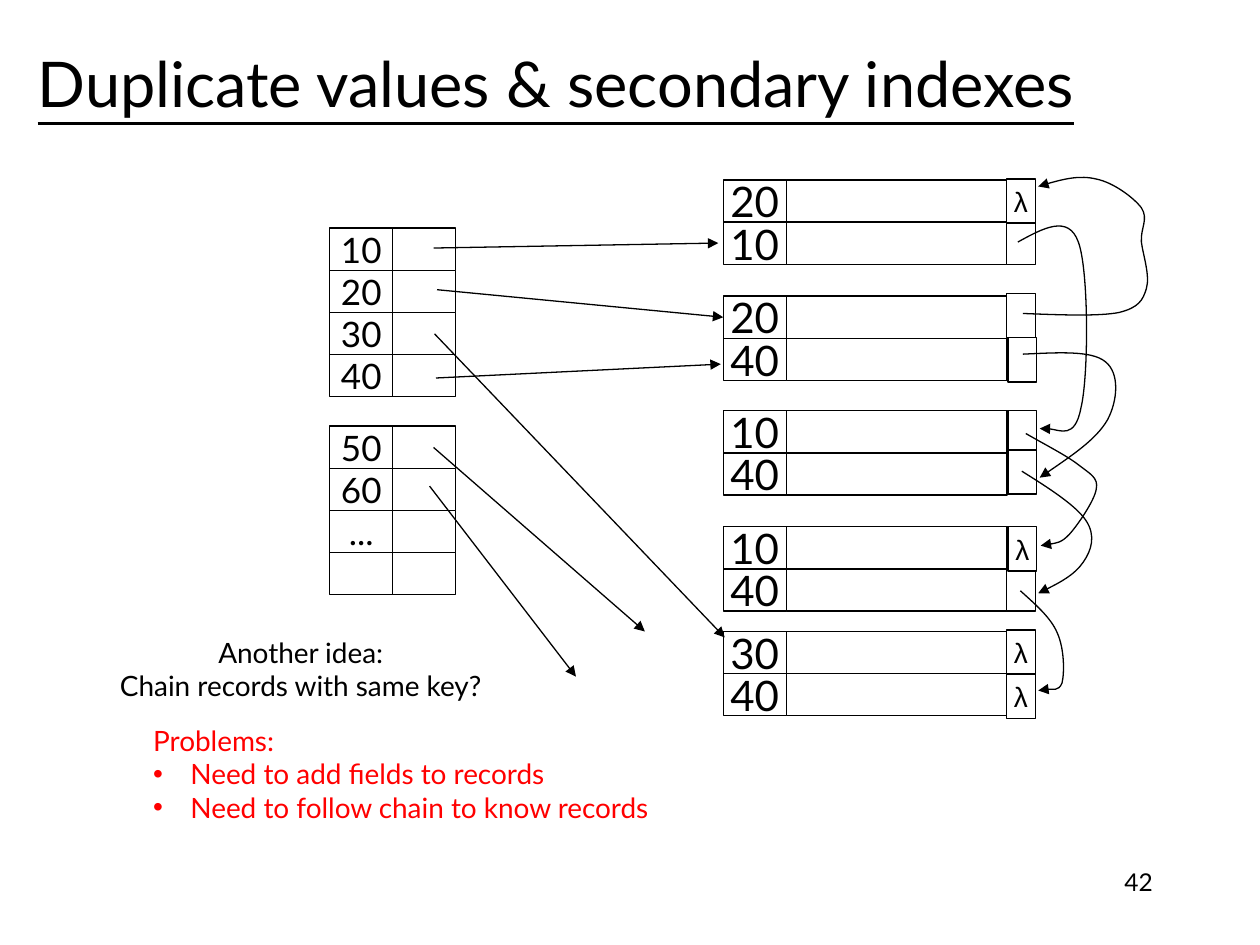
"""Build the slide on duplicate values and secondary indexes."""
from lxml.etree import SubElement
from pptx import Presentation
from pptx.dml.color import RGBColor
from pptx.enum.shapes import MSO_CONNECTOR, MSO_SHAPE
from pptx.enum.text import MSO_ANCHOR, MSO_AUTO_SIZE, PP_ALIGN
from pptx.oxml.ns import qn
from pptx.util import Cm, Pt

COLOURS = {"ink": "000000", "paper": "FFFFFF", "problem": "FF0000"}
INK, PAPER, PROBLEM = (RGBColor.from_string(value) for value in COLOURS.values())
ROW = 0.85
RECORD_LEFT, INDEX_LEFT, KEY_WIDTH = 14.58, 6.65, 1.27


def write(shape, lines, align, font, frame):
    text_frame = shape.text_frame
    for name, value in frame.items():
        setattr(text_frame, name, value)
    for number, line in enumerate(lines):
        paragraph = text_frame.add_paragraph() if number else text_frame.paragraphs[0]
        paragraph.text = line
        paragraph.alignment = align
        for run in paragraph.runs:
            run.font.color.rgb = INK
            for name, value in font.items():
                setattr(run.font, name, value)
    return text_frame


def finish_arrow(arrow):
    arrow.line.color.rgb = INK
    arrow.line.width = Pt(0.75)
    properties = arrow._element.spPr
    SubElement(properties.find(qn("a:ln")), qn("a:tailEnd"), type="triangle")
    SubElement(properties, qn("a:effectLst"))


presentation = Presentation()
presentation.slide_width, presentation.slide_height = Cm(25.4), Cm(19.05)
slide = presentation.slides.add_slide(presentation.slide_layouts[6])
shapes = slide.shapes

middle = {"vertical_anchor": MSO_ANCHOR.MIDDLE}
wrapped = {"word_wrap": True}
unwrapped = {**middle, "word_wrap": False}
growing = {**unwrapped, "auto_size": MSO_AUTO_SIZE.SHAPE_TO_FIT_TEXT}
body = {"name": "Lato", "size": Pt(16)}

captions = [
    ((18.21, 17.35, 5.28, 1.27), ["42"], PP_ALIGN.RIGHT,
     {**body, "size": Pt(14)}, wrapped),
    ((0.51, 0.41, 22.02, 2.51), ["Duplicate values & secondary indexes"], PP_ALIGN.LEFT,
     {**body, "size": Pt(36), "underline": True}, {**middle, **wrapped}),
    ((1.9, 12.67, 8.33, 1.63), ["Another idea:\vChain records with same key?"],
     PP_ALIGN.CENTER, body, growing),
]
for box, lines, align, font, frame in captions:
    write(shapes.add_textbox(*map(Cm, box)), lines, align, font, frame)

problems = write(
    shapes.add_textbox(Cm(2.84), Cm(14.45), Cm(10.72), Cm(2.29)),
    ["Problems:", "Need to add fields to records", "Need to follow chain to know records"],
    PP_ALIGN.LEFT, body, growing)
for paragraph in problems.paragraphs:
    paragraph.runs[0].font.color.rgb = PROBLEM
for paragraph in problems.paragraphs[1:]:
    indents = paragraph._p.get_or_add_pPr()
    indents.set("marL", str(Cm(0.75)))
    indents.set("indent", str(-Cm(0.75)))
    SubElement(indents, qn("a:buFont"), typeface="Arial")
    SubElement(indents, qn("a:buChar"), char="•")

blocks = [
    (RECORD_LEFT, 3.63, 4.45, 24, ["20", "10"]),
    (RECORD_LEFT, 5.97, 4.45, 24, ["20", "40"]),
    (RECORD_LEFT, 8.28, 4.45, 24, ["10", "40"]),
    (RECORD_LEFT, 10.62, 4.45, 24, ["10", "40"]),
    (RECORD_LEFT, 12.73, 4.45, 24, ["30", "40"]),
    (INDEX_LEFT, 4.6, KEY_WIDTH, 20, ["10", "20", "30", "40"]),
    (INDEX_LEFT, 8.59, KEY_WIDTH, 20, ["50", "60", "...", ""]),
]
cells = []
for left, top, data_width, size, keys in blocks:
    for row, key in enumerate(keys):
        y = top + row * ROW
        cells.append((left, y, KEY_WIDTH, ROW, key, "Lato", size))
        cells.append((left + KEY_WIDTH, y, data_width, ROW, "", "Lato", size))

chain_fields = [
    (20.29, 4.45, ""), (20.29, 3.61, "λ"), (20.29, 5.92, ""), (20.32, 6.81, ""),
    (20.32, 8.28, ""), (20.32, 9.07, ""), (20.29, 12.7, "λ"), (20.29, 11.43, ""),
    (20.32, 10.62, "λ"), (20.29, 13.59, "λ"),
]
cells += [(x, y, 0.58, 0.89, mark, "Arial", 16) for x, y, mark in chain_fields]

drawn_cells = []
for x, y, width, height, text, face, size in cells:
    cell = shapes.add_shape(MSO_SHAPE.RECTANGLE, Cm(x), Cm(y), Cm(width), Cm(height))
    cell.shadow.inherit = False
    cell.fill.solid()
    cell.fill.fore_color.rgb = PAPER
    cell.line.color.rgb = INK
    cell.line.width = Pt(0.75)
    if text:
        write(cell, [text], PP_ALIGN.CENTER, {"name": face, "size": Pt(size)}, unwrapped)
    drawn_cells.append(cell)
second_record_20 = drawn_cells[4]

pointers = [
    ((8.74, 5), (14.48, 4.9), None),
    ((8.81, 5.84), (14.58, 6.39), second_record_20),
    ((8.76, 6.73), (14.61, 12.85), None),
    ((8.79, 7.62), (14.53, 7.34), None),
    ((8.74, 9.02), (13, 12.73), None),
    ((8.66, 9.8), (11.61, 13.64), None),
]
for start, end, target in pointers:
    pointer = shapes.add_connector(MSO_CONNECTOR.STRAIGHT, *map(Cm, start + end))
    if target:
        pointer.end_connect(target, 1)
    finish_arrow(pointer)

chains = [
    [(20.52, 4.88), (21.03, 4.6), (21.54, 4.32), (21.74, 4.88), (21.95, 5.44),
     (21.95, 7.59), (21.79, 8.23), (21.67, 8.86), (21.11, 8.59), (20.96, 8.64)],
    [(20.62, 6.32), (21.39, 6.35), (22.15, 6.38), (22.56, 6.3), (22.96, 6.2),
     (23.04, 6.05), (23.11, 5.82), (23.19, 5.56), (23.04, 5.13), (23.01, 4.88),
     (22.99, 4.6), (23.16, 4.42), (23.01, 4.19), (22.86, 3.99), (22.45, 3.68),
     (22.1, 3.61), (21.77, 3.53), (21.34, 3.63), (20.93, 3.76)],
    [(20.62, 7.14), (21.31, 7.11), (22, 7.06), (22.28, 7.29), (22.58, 7.52),
     (22.53, 8.08), (22.33, 8.46), (22.1, 8.86), (21.51, 9.25), (20.96, 9.63)],
    [(20.6, 9.5), (21.13, 9.83), (21.69, 10.19), (21.89, 10.49), (22.1, 10.8),
     (22, 11.1), (21.84, 11.33), (21.67, 11.58), (21.29, 11.79), (20.93, 11.96)],
    [(20.57, 11.91), (20.88, 12.19), (21.18, 12.45), (21.31, 12.75), (21.46, 13.08),
     (21.46, 13.56), (21.41, 13.77), (21.34, 13.94), (21.01, 13.87), (20.93, 13.92)],
    [(20.68, 8.74), (21.08, 8.97), (21.51, 9.19), (21.74, 9.37), (21.97, 9.55),
     (22.15, 9.63), (22.1, 9.86), (22.07, 10.08), (21.74, 10.57), (21.56, 10.77),
     (21.39, 10.95), (21.18, 10.97), (20.98, 11)],
]
for chain in chains:
    start, *controls = [(Cm(x), Cm(y)) for x, y in chain]
    builder = shapes.build_freeform(*start)
    builder.add_line_segments(controls, close=False)
    curve = builder.convert_to_shape()
    segments = list(curve._element.iter(qn("a:lnTo")))
    outline = segments[0].getparent()
    for first in range(0, len(segments), 3):
        bezier = SubElement(outline, qn("a:cubicBezTo"))
        for segment in segments[first:first + 3]:
            bezier.append(segment[0])
            outline.remove(segment)
    curve.fill.background()
    finish_arrow(curve)

presentation.save("out.pptx")
